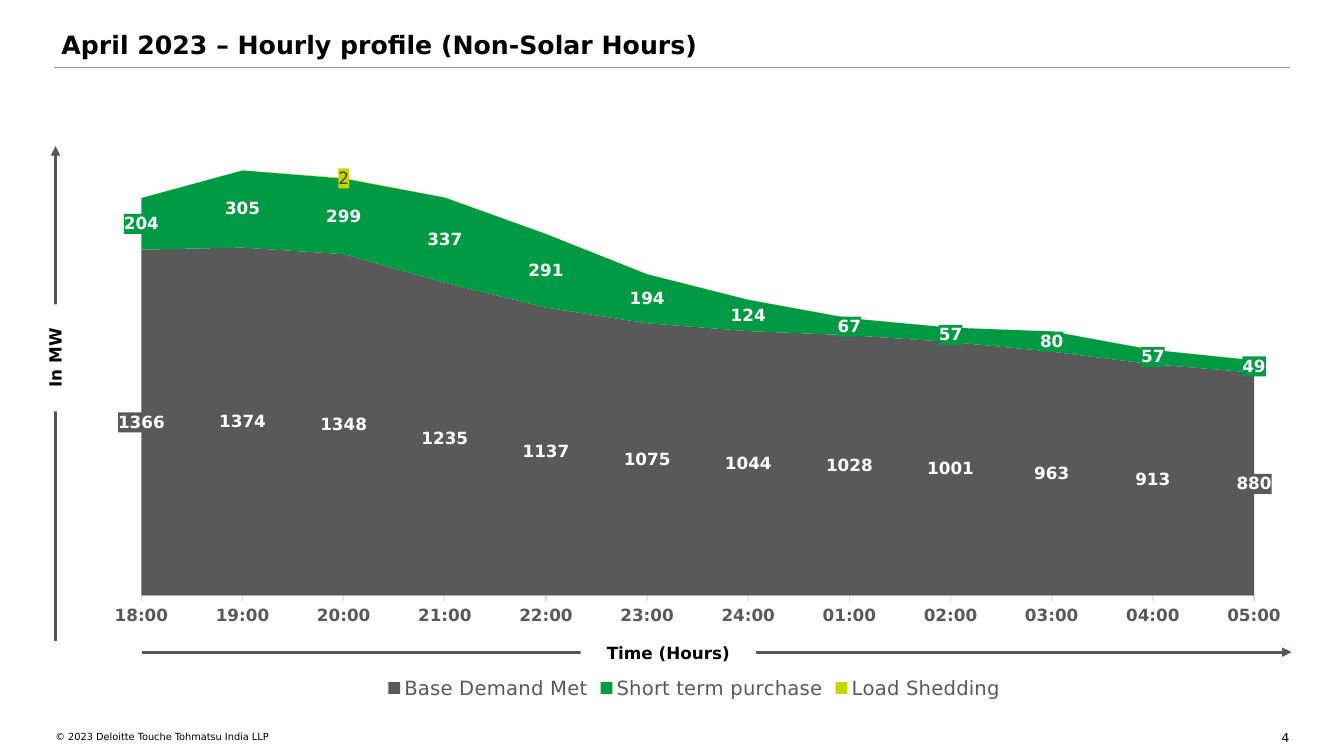
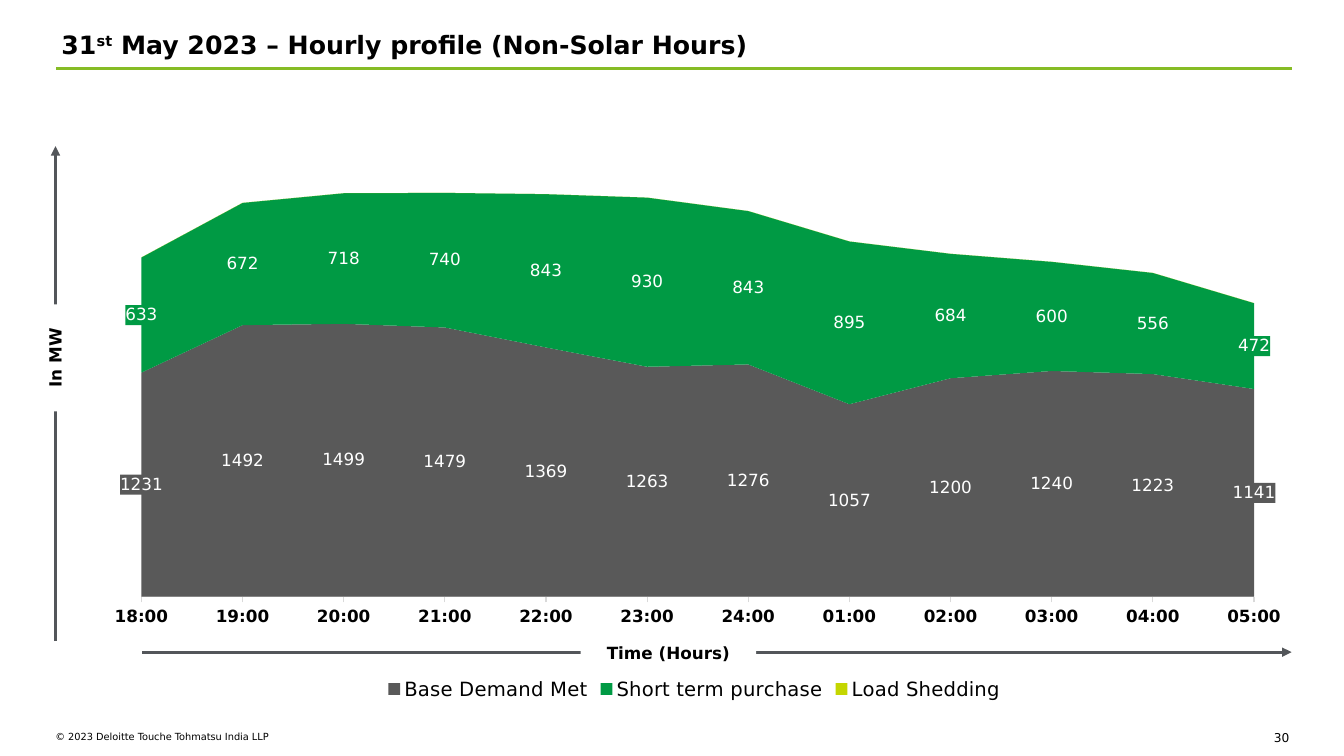
import pptx
import pptx.util
import pptx.chart.data
import pptx.dml.color
import pptx.enum.chart
import pptx.enum.shapes
import pptx.enum.text
import pptx.oxml
import pptx.oxml.ns

PX = 9144
FONT = "DejaVu Sans"
COLORS = {
    "black": "000000", "white": "FFFFFF", "axis": "53565A", "tick": "D9D9D9",
    "grey": "595959", "label": "404040", "rule": "999999", "lime": "86BC25",
    "base": "595959", "purchase": "009A44", "shedding": "C4D600",
}
HOURS = ["18:00", "19:00", "20:00", "21:00", "22:00", "23:00",
         "24:00", "01:00", "02:00", "03:00", "04:00", "05:00"]
SERIES = [("Base Demand Met", "base"), ("Short term purchase", "purchase"),
          ("Load Shedding", "shedding")]
PLOT = {"x": 0.035, "y": 0.098, "w": 0.936, "h": 0.729}
ALIGN = pptx.enum.text.PP_ALIGN
NSDECLS = pptx.oxml.ns.nsdecls("c", "a")

SLIDES = [
    {
        "title": [("April 2023 – Hourly profile (Non-Solar Hours)", False)],
        "number": "4", "rule": (54, 67, 1225, "rule", 0.75),
        "chart": (99, 78, 1179, 620), "max": 1800, "text": "grey", "bold": True,
        "values": [
            [1366, 1374, 1348, 1235, 1137, 1075, 1044, 1028, 1001, 963, 913, 880],
            [204, 305, 299, 337, 291, 194, 124, 67, 57, 80, 57, 49],
            [0, 0, 2, 0, 0, 0, 0, 0, 0, 0, 0, 0],
        ],
    },
    {
        "title": [("31", False), ("st", True),
                  (" May 2023 – Hourly profile (Non-Solar Hours)", False)],
        "number": "30", "rule": (56, 68, 1225, "lime", 1.5),
        "chart": (99, 80, 1179, 619), "max": 2500, "text": "black", "bold": False,
        "values": [
            [1231, 1492, 1499, 1479, 1369, 1263, 1276, 1057, 1200, 1240, 1223, 1141],
            [633, 672, 718, 740, 843, 930, 843, 895, 684, 600, 556, 472],
            [0] * 12,
        ],
    },
]


def rgb(name):
    """Return the named colour."""
    return pptx.dml.color.RGBColor.from_string(COLORS[name])


def emu(*lengths):
    """Turn px lengths into EMU."""
    return [pptx.util.Emu(n * PX) for n in lengths]


def style(font, size, color="black", bold=False):
    """Set the look of a font."""
    font.name, font.size, font.bold = FONT, pptx.util.Pt(size), bold
    font.color.rgb = rgb(color)


def prepare(tf, inset=0, anchor=pptx.enum.text.MSO_ANCHOR.TOP):
    """Set wrapping, insets and anchor of a text frame."""
    tf.word_wrap = True
    tf.auto_size = pptx.enum.text.MSO_AUTO_SIZE.NONE
    tf.vertical_anchor = anchor
    tf.margin_left = tf.margin_top = tf.margin_right = tf.margin_bottom = emu(inset)[0]
    return tf.paragraphs[0]


def add_run(p, text, size, bold=False):
    """Add one formatted run."""
    r = p.add_run()
    r.text = text
    style(r.font, size, bold=bold)
    return r


def add_line(s, start, end, color, width, arrow=False):
    """Draw a straight line, with an arrowhead at its end if asked."""
    line = s.shapes.add_connector(
        pptx.enum.shapes.MSO_CONNECTOR.STRAIGHT, *emu(*start, *end))
    line.line.color.rgb = rgb(color)
    line.line.width = pptx.util.Pt(width)
    if arrow:
        line.line._get_or_add_ln().append(
            pptx.oxml.parse_xml(f'<a:tailEnd {NSDECLS} type="triangle"/>'))
    line._element.spPr.append(pptx.oxml.parse_xml(f"<a:effectLst {NSDECLS}/>"))


def add_title(s, runs, rule):
    """Fill the title placeholder and draw the rule below it."""
    title = s.shapes.title
    title.left, title.top, title.width, title.height = emu(61, 29, 1221, 38)
    p = prepare(title.text_frame)
    p.alignment = ALIGN.LEFT
    for text, raised in runs:
        r = add_run(p, text, 18, True)
        if raised:
            r._r.get_or_add_rPr().set("baseline", "30000")
    x, y, w, color, width = rule
    add_line(s, (x, y), (x + w, y), color, width)


def add_footer(s, number):
    """Write the copyright line and the slide number."""
    for box, text, size, align in (
            ((55, 725, 586, 22), "© 2023 Deloitte Touche Tohmatsu India LLP", 7, ALIGN.LEFT),
            ((1245, 725, 34, 11), number, 8.7, ALIGN.RIGHT)):
        p = prepare(s.shapes.add_textbox(*emu(*box)).text_frame)
        p.alignment = align
        add_run(p, text, size)


def add_axis_label(s, center, size, text, rotation=0):
    """Place a white caption centred over an axis arrow."""
    (x, y), (w, h) = center, size
    sp = s.shapes.add_shape(pptx.enum.shapes.MSO_SHAPE.RECTANGLE,
                            *emu(x - w / 2, y - h / 2, w, h))
    sp.rotation = rotation
    sp.shadow.inherit = False
    sp.fill.solid()
    sp.fill.fore_color.rgb = rgb("white")
    sp.line.fill.background()
    p = prepare(sp.text_frame, 10, pptx.enum.text.MSO_ANCHOR.MIDDLE)
    p.alignment = ALIGN.CENTER
    p.line_spacing = 1.06
    add_run(p, text, 12, True)


def add_axes(s, box):
    """Draw the time and power arrows along the bottom and left of the box."""
    x, y, w, h = box
    bottom = y + h
    add_line(s, (x + 86, bottom), (x + w, bottom), "axis", 2.25, True)
    add_axis_label(s, (x + 608, bottom), (174, 26), "Time (Hours)")
    add_line(s, (x, bottom - 11), (x, y), "axis", 2.25, True)
    add_axis_label(s, (x - 1, y + 210), (106, 41), "In MW", 270)


def fill_before_text(element, fill):
    """Give the owner of each text style directly inside labels or a chart a fill."""
    for text in element:
        text.addprevious(pptx.oxml.parse_xml(
            f"<c:spPr {NSDECLS}>{fill}<a:ln><a:noFill/></a:ln></c:spPr>"))


def add_labels(series, values, color, bold):
    """Label every value, or for load shedding only those above zero."""
    if color == "shedding":
        shown = [i for i, value in enumerate(values) if value]
        if shown:
            series.data_labels.show_value = False
        for i in shown:
            style(series.points[i].data_label.font, 12, "label")
    else:
        labels = series.data_labels
        labels.show_value = True
        labels.number_format, labels.number_format_is_linked = "0", False
        style(labels.font, 12, "white", bold)
    fill_before_text(
        series._element.xpath(".//c:txPr"),
        f'<a:solidFill><a:srgbClr val="{COLORS[color]}"/></a:solidFill>')


def add_profile_chart(s, box, values, top, text, bold):
    """Add the stacked area chart of hourly demand."""
    data = pptx.chart.data.CategoryChartData(number_format="0")
    data.categories = HOURS
    for (name, _), vals in zip(SERIES, values):
        data.add_series(name, vals)
    chart = s.shapes.add_chart(pptx.enum.chart.XL_CHART_TYPE.AREA_STACKED,
                               *emu(*box), data).chart
    style(chart.font, 10)
    fill_before_text(chart._chartSpace.xpath("./c:txPr"), "<a:noFill/>")
    chart.has_title = False
    chart.has_legend = True
    chart.legend.position = pptx.enum.chart.XL_LEGEND_POSITION.BOTTOM
    chart.legend.include_in_layout = False
    style(chart.legend.font, 14, text)

    hours, power = chart.category_axis, chart.value_axis
    hours.has_major_gridlines = power.has_major_gridlines = False
    hours.major_tick_mark = pptx.enum.chart.XL_TICK_MARK.OUTSIDE
    hours.format.line.color.rgb = rgb("tick")
    hours.format.line.width = pptx.util.Pt(0.75)
    style(hours.tick_labels.font, 12, text, True)
    power.minimum_scale, power.maximum_scale = 0, top
    power.visible = False
    for cross in chart._chartSpace.xpath(".//c:crossBetween"):
        cross.set("val", "midCat")

    plot = chart.plots[0]
    plot.vary_by_categories = False
    for series, (_, color), vals in zip(plot.series, SERIES, values):
        series.format.fill.solid()
        series.format.fill.fore_color.rgb = rgb(color)
        series.format.line.fill.background()
        add_labels(series, vals, color, bold)

    area = chart._chartSpace.xpath(".//c:plotArea")[0]
    for old in area.xpath("./c:layout"):
        area.remove(old)
    sizes = "".join(f'<c:{k} val="{v}"/>' for k, v in PLOT.items())
    area.insert(0, pptx.oxml.parse_xml(
        f'<c:layout {NSDECLS}><c:manualLayout><c:layoutTarget val="inner"/>'
        f'<c:xMode val="edge"/><c:yMode val="edge"/>{sizes}'
        "</c:manualLayout></c:layout>"))


def add_profile_slide(prs, content):
    """Build one hourly profile slide."""
    s = prs.slides.add_slide(prs.slide_layouts[5])
    add_footer(s, content["number"])
    add_title(s, content["title"], content["rule"])
    add_axes(s, (55, 145, 1226, 502))
    add_profile_chart(s, content["chart"], content["values"], content["max"],
                      content["text"], content["bold"])


def main():
    """Build and save the deck."""
    prs = pptx.Presentation()
    prs.slide_width, prs.slide_height = emu(1333, 750)
    for content in SLIDES:
        add_profile_slide(prs, content)
    prs.save("out.pptx")


if __name__ == "__main__":
    main()
